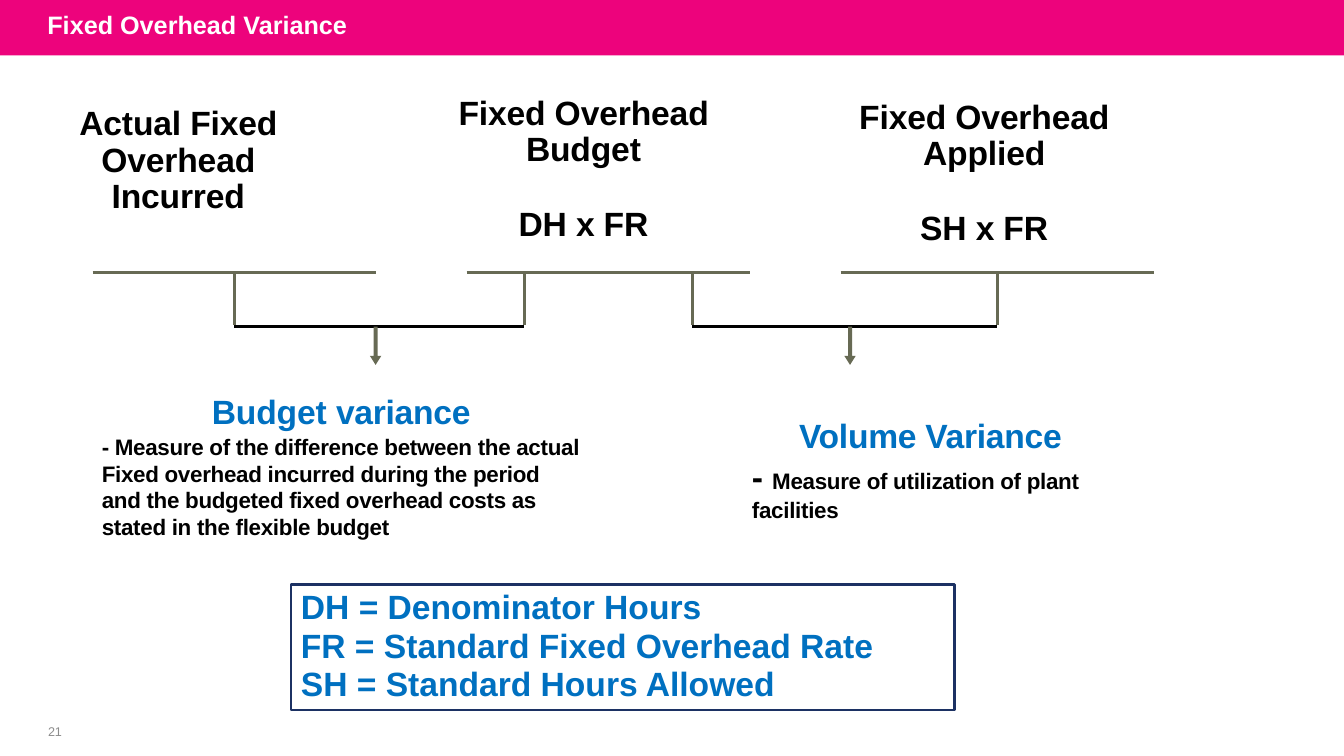
"""Build the fixed overhead variance slide."""
from pptx import Presentation
from pptx.dml.color import RGBColor
from pptx.enum.shapes import MSO_CONNECTOR, MSO_SHAPE
from pptx.enum.text import MSO_ANCHOR, MSO_AUTO_SIZE, PP_ALIGN
from pptx.oxml.ns import qn
from pptx.util import Inches, Pt
from lxml.etree import SubElement

PINK = RGBColor(0xED, 0x03, 0x7C)
WHITE = RGBColor(0xFF, 0xFF, 0xFF)
BLACK = RGBColor(0x00, 0x00, 0x00)
BLUE = RGBColor(0x00, 0x70, 0xC0)
NAVY = RGBColor(0x1C, 0x31, 0x63)
OLIVE = RGBColor(0x67, 0x6A, 0x54)
GRAY = RGBColor(0x8C, 0x8C, 0x8C)

deck = Presentation()
deck.slide_width, deck.slide_height = Inches(13.33), Inches(7.5)
COL, ROW = deck.slide_width / 40, deck.slide_height / 30
slide = deck.slides.add_slide(deck.slide_layouts[5])
shapes = slide.shapes


def write(frame, paragraphs, inset=(0, 0.01, 0, 0), anchor=MSO_ANCHOR.TOP, bold=True):
    """Fill a text frame with (paragraph format, runs) pairs."""
    left, top, right, bottom = map(Inches, inset)
    settings = dict(word_wrap=True, auto_size=MSO_AUTO_SIZE.NONE, vertical_anchor=anchor,
                    margin_left=left, margin_top=top, margin_right=right, margin_bottom=bottom)
    for name, value in settings.items():
        setattr(frame, name, value)
    for index, (layout, runs) in enumerate(paragraphs):
        paragraph = frame.add_paragraph() if index else frame.paragraphs[0]
        for name, value in layout.items():
            setattr(paragraph, name, value)
        for text, size, color, spacing in runs:
            run = paragraph.add_run()
            run.text = text
            for name, value in dict(name="Arial", size=Pt(size), bold=bold).items():
                setattr(run.font, name, value)
            run.font.color.rgb = color
            run.font._element.set("spc", str(spacing))


def trace(contours, closed=False):
    """Draw one freeform from contours of (column, row) points."""
    points = [[(round(col * COL), round(row * ROW)) for col, row in contour] for contour in contours]
    pen = shapes.build_freeform(*points[0][0])
    for index, (first, *rest) in enumerate(points):
        if index:
            pen.move_to(*first)
        pen.add_line_segments(rest, close=closed)
    outline = pen.convert_to_shape()
    outline.shadow.inherit = False
    return outline


banner = shapes.add_shape(MSO_SHAPE.RECTANGLE, 0, 0, deck.slide_width, round(2.2 * ROW))
banner.shadow.inherit = False
banner.fill.solid()
banner.fill.fore_color.rgb = PINK
banner.line.fill.background()
shapes._spTree.insert(2, banner._element)

heading = shapes.title
heading_place = dict(left=1.11 * COL, top=-0.12 * ROW, width=31.5 * COL, height=2.2 * ROW)
for side, length in heading_place.items():
    setattr(heading, side, round(length))
write(heading.text_frame, [(dict(alignment=PP_ALIGN.LEFT, space_after=Pt(6)),
                            [("Fixed Overhead Variance", 18, WHITE, 0)])],
      inset=(0.1, 0.05, 0.1, 0.05), anchor=MSO_ANCHOR.MIDDLE)

page_number = shapes.add_textbox(round(0.84 * COL), round(28.56 * ROW), round(1.6 * COL), round(0.96 * ROW))
write(page_number.text_frame, [(dict(alignment=PP_ALIGN.CENTER), [("21", 9, GRAY, -10)])],
      inset=(0, 0, 0, 0), anchor=MSO_ANCHOR.MIDDLE, bold=False)

CENTERED = dict(alignment=PP_ALIGN.CENTER)
COST = dict(alignment=PP_ALIGN.CENTER, line_spacing=Pt(25.9))
costs = [
    (1.57, 4.18, 7.47, "Actual Fixed Overhead Incurred", None),
    (13.63, 3.76, 7.47, "Fixed Overhead Budget", "DH x FR"),
    (24.91, 3.92, 8.76, "Fixed Overhead Applied", "SH x FR"),
]
for left, top, width, cost, formula in costs:
    column_head = shapes.add_textbox(round(left * COL), round(top * ROW), round(width * COL), round(6 * ROW))
    lines = [(COST, [(cost, 24, BLACK, -10)])]
    if formula:
        lines.append((dict(COST, space_before=Pt(27.7)), [(formula, 24, BLACK, -10)]))
    write(column_head.text_frame, lines)

BAR_ROW, STEM_ROW, JOIN_ROW = 10.8, 12.88, 12.96
brackets = [(2.76, 11.19, [6.97]), (13.89, 22.32, [15.6, 20.61]), (25.02, 34.35, [29.68])]
for start, end, stems in brackets:
    bar = [(start, BAR_ROW), (end, BAR_ROW)]
    bracket = trace([bar] + [[(stem, BAR_ROW), (stem, STEM_ROW)] for stem in stems])
    bracket.fill.background()
    bracket.line.color.rgb = OLIVE
    bracket.line.width = Pt(2.25)

SHAFT, HEAD = 0.06, 0.17
HEAD_ROW, TIP_ROW = 14.12, 14.48
for start, end, center in [(6.97, 15.6, 11.18), (20.61, 29.68, 25.3)]:
    join = shapes.add_connector(MSO_CONNECTOR.STRAIGHT, round(start * COL), round(JOIN_ROW * ROW),
                                round(end * COL), round(JOIN_ROW * ROW))
    join.line.color.rgb = BLACK
    join.line.width = Pt(2.25)
    SubElement(join._element.spPr, qn("a:effectLst"))
    arrow = trace([[(center - SHAFT, JOIN_ROW), (center + SHAFT, JOIN_ROW), (center + SHAFT, HEAD_ROW),
                    (center + HEAD, HEAD_ROW), (center, TIP_ROW), (center - HEAD, HEAD_ROW),
                    (center - SHAFT, HEAD_ROW)]], closed=True)
    arrow.fill.solid()
    arrow.fill.fore_color.rgb = OLIVE
    arrow.line.fill.background()

variances = [
    (3, 15.48, 14.28, 6.04, [
        (CENTERED, [("Budget ", 24, BLUE, -10), ("variance", 24, BLUE, -20)]),
        (dict(space_before=Pt(1)),
         [("- Measure of the difference between the actual Fixed overhead incurred during the period "
           "and the budgeted fixed overhead costs as stated in the flexible budget", 16, BLACK, -20)])]),
    (22.35, 16.44, 10.65, 4.36, [
        (CENTERED, [("Volume Variance", 24, BLUE, -20)]),
        ({}, [("- ", 24, BLACK, -20), ("Measure of utilization of plant facilities", 16, BLACK, -20)])]),
]
for left, top, width, height, lines in variances:
    variance = shapes.add_textbox(round(left * COL), round(top * ROW), round(width * COL), round(height * ROW))
    write(variance.text_frame, lines, inset=(0.01, 0.01, 0, 0))

legend = shapes.add_shape(MSO_SHAPE.RECTANGLE, round(8.66 * COL), round(23.18 * ROW),
                          round(19.74 * COL), round(5 * ROW))
legend.shadow.inherit = False
legend.fill.background()
legend.line.color.rgb = NAVY
legend.line.width = Pt(2)
terms = ["DH = Denominator Hours", "FR = Standard Fixed Overhead Rate", "SH = Standard Hours Allowed"]
write(legend.text_frame, [(dict(alignment=PP_ALIGN.LEFT, line_spacing=0.95), [(term, 24, BLUE, 0)])
                          for term in terms], inset=(0.1, 0.05, 0.1, 0.05))

deck.save("out.pptx")
